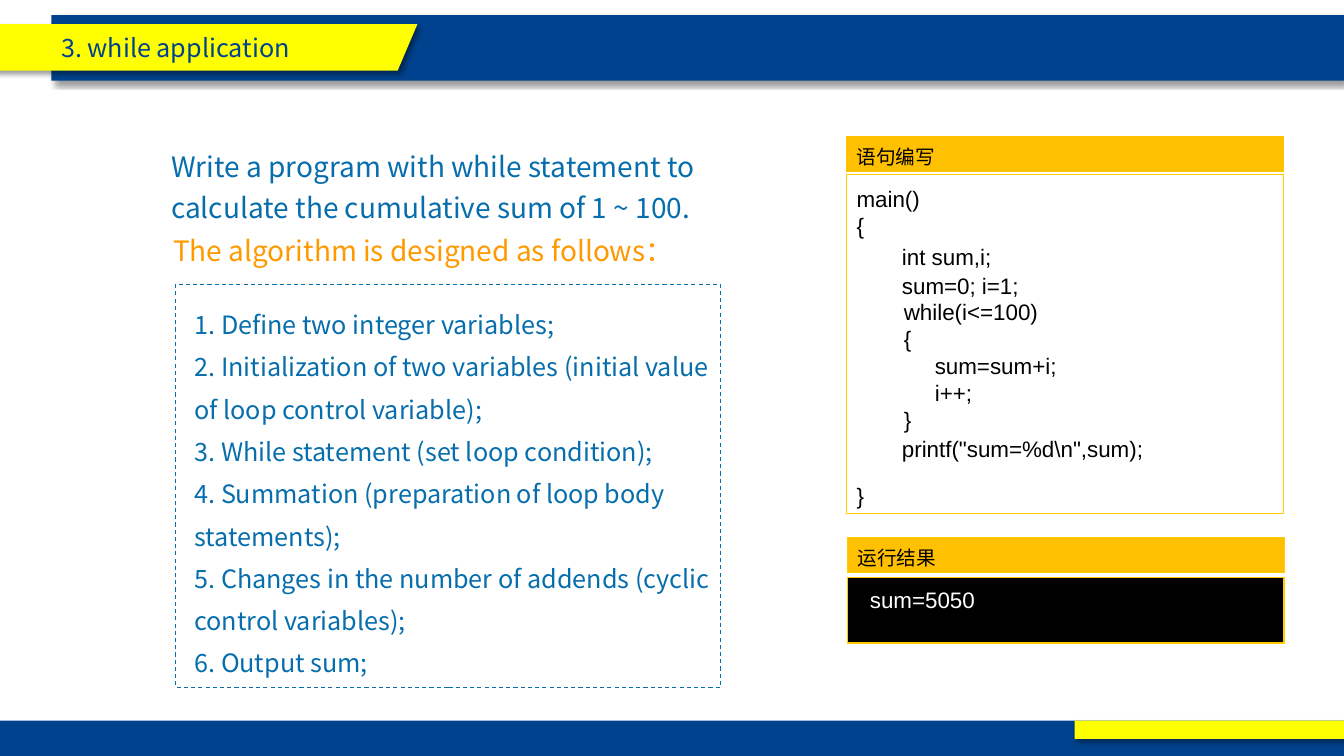
from lxml import etree
from pptx import Presentation
from pptx.dml.color import RGBColor
from pptx.enum.dml import MSO_LINE
from pptx.enum.shapes import MSO_SHAPE
from pptx.enum.text import MSO_ANCHOR, MSO_AUTO_SIZE, PP_ALIGN
from pptx.oxml.ns import qn
from pptx.util import Pt

RECTANGLE = MSO_SHAPE.RECTANGLE
PARALLELOGRAM = MSO_SHAPE.PARALLELOGRAM
DASH = MSO_LINE.DASH
MIDDLE = MSO_ANCHOR.MIDDLE
LEFT = PP_ALIGN.LEFT
GROW = MSO_AUTO_SIZE.SHAPE_TO_FIT_TEXT

SANS = "Noto Sans CJK SC"
CODE = "Arial"
SLIDE_WIDTH, SLIDE_HEIGHT = 960, 540
PANEL_WIDTH = 311.8
HEADER_HEIGHT = 25.2
COLORS = {
    "navy": "00428E",
    "yellow": "FFFF00",
    "amber": "FFC000",
    "gold": "FFCC00",
    "blue": "076EAD",
    "orange": "FF9900",
    "black": "000000",
    "white": "FFFFFF",
}
STEPS = [
    "1. Define two integer variables;",
    "2. Initialization of two variables (initial value of loop control variable);",
    "3. While statement (set loop condition);",
    "4. Summation (preparation of loop body statements);",
    "5. Changes in the number of addends (cyclic control variables);",
    "6. Output sum;",
]
CODE_BLOCKS = [
    (604.8, 128.9, ["main()", "{"]),
    (637.2, 169.9, ["int sum,i;"]),
    (637.2, 190.8, ["sum=0; i=1;"]),
    (638.6, 209.5, ["while(i<=100)", "{", "     sum=sum+i;", "     i++;", "}"]),
    (637.2, 307.4, ['printf("sum=%d\\n",sum);']),
    (604.8, 341, ["}"]),
]


def color(name):
    """Return the named colour."""
    return RGBColor.from_string(COLORS[name])


def add_shadow(shape):
    """Give a shape a soft shadow to the lower right."""
    effects = shape._element.spPr.find(qn("a:effectLst"))
    shadow = etree.SubElement(
        effects, qn("a:outerShdw"), blurRad=str(Pt(4)), dist=str(Pt(3)),
        dir="2700000", algn="tl", rotWithShape="0")
    tint = etree.SubElement(shadow, qn("a:srgbClr"), val=COLORS["black"])
    etree.SubElement(tint, qn("a:alpha"), val="40000")


def add_block(slide, box, fill=None, line=None, line_width=0.75,
              kind=RECTANGLE, shadow=False):
    """Add a preset shape with an optional fill, outline and shadow."""
    shape = slide.shapes.add_shape(kind, *map(Pt, box))
    shape.shadow.inherit = False
    if fill:
        shape.fill.solid()
        shape.fill.fore_color.rgb = color(fill)
    else:
        shape.fill.background()
    if line:
        shape.line.color.rgb = color(line)
        shape.line.width = Pt(line_width)
    else:
        shape.line.fill.background()
    if shadow:
        add_shadow(shape)
    return shape


def write(shape, lines, size, font, ink, spacing=None):
    """Fill a shape with left-aligned paragraphs in one style."""
    text_frame = shape.text_frame
    text_frame.word_wrap = True
    text_frame.text = "\n".join(lines)
    for paragraph in text_frame.paragraphs:
        paragraph.alignment = LEFT
        if spacing:
            paragraph.line_spacing = spacing
        for run in paragraph.runs:
            run.font.size = Pt(size)
            run.font.name = font
            run.font.color.rgb = color(ink)
            etree.SubElement(run.font._element, qn("a:ea"), typeface=SANS)


def add_text(slide, box, lines, size, font, ink, spacing=None):
    """Add a wrapping text box that grows with its text."""
    shape = slide.shapes.add_textbox(*map(Pt, box))
    write(shape, lines, size, font, ink, spacing)
    shape.text_frame.auto_size = GROW


def add_panel(slide, left, top, body_top, body_height, title,
              header_line, body_fill=None, body_line_width=0.75):
    """Add a titled amber header above a framed body."""
    add_block(slide, (left, top, PANEL_WIDTH, HEADER_HEIGHT), "amber", header_line)
    add_block(slide, (left, body_top, PANEL_WIDTH, body_height),
              body_fill, "gold", body_line_width)
    add_text(slide, (left, top + 2.5, 80, 23.8), [title], 14, CODE, "black")


def add_frame(slide):
    """Add the title band, title tab and footer."""
    add_block(slide, (36.7, 10.8, 923.3, 46.8), "navy", shadow=True)
    add_block(slide, (0, 514.8, SLIDE_WIDTH, 25.2), "navy")
    add_block(slide, (767.5, 514.8, 192.5, 13), "yellow", shadow=True)
    tab = add_block(slide, (-41, 17.3, 339.1, 33.1), "yellow",
                    kind=PARALLELOGRAM, shadow=True)
    tab.adjustments[0] = 0.424
    write(tab, ["3. while application"], 18, SANS, "navy")
    tab.text_frame.margin_left = Pt(50.5)
    tab.text_frame.vertical_anchor = MIDDLE


def add_algorithm(slide):
    """Add the task statement and the dashed list of steps."""
    add_text(slide, (115.2, 98.6, 454.3, 65.5),
             ["Write a program with while statement to calculate "
              "the cumulative sum of 1 ~ 100."], 20, SANS, "blue", 1.2)
    add_text(slide, (116.6, 158.4, 391, 36),
             ["The algorithm is designed as follows："], 20, SANS, "orange", 1.2)
    outline = add_block(slide, (125.3, 203, 389.5, 288), line="blue")
    outline.line.dash_style = DASH
    add_text(slide, (131.8, 208.8, 391, 281.5), STEPS, 18, SANS, "blue", 1.4)


def add_program(slide):
    """Add the code panel and the result panel."""
    add_panel(slide, 604.8, 97.2, 124.6, 241.9, "语句编写", "amber")
    for left, top, lines in CODE_BLOCKS:
        height = 7.2 + 19.3 * len(lines)
        add_text(slide, (left, top, 221, height), lines, 16, CODE, "black")
    add_panel(slide, 605.5, 383.8, 412.6, 46.8, "运行结果", "gold", "black", 1)
    add_text(slide, (614.3, 415.4, 138, 26.6), ["sum=5050"], 16, CODE, "white")


def main():
    """Build the slide and save it."""
    presentation = Presentation()
    presentation.slide_width = Pt(SLIDE_WIDTH)
    presentation.slide_height = Pt(SLIDE_HEIGHT)
    slide = presentation.slides.add_slide(presentation.slide_layouts[6])
    add_frame(slide)
    add_program(slide)
    add_algorithm(slide)
    presentation.save("out.pptx")


if __name__ == "__main__":
    main()
